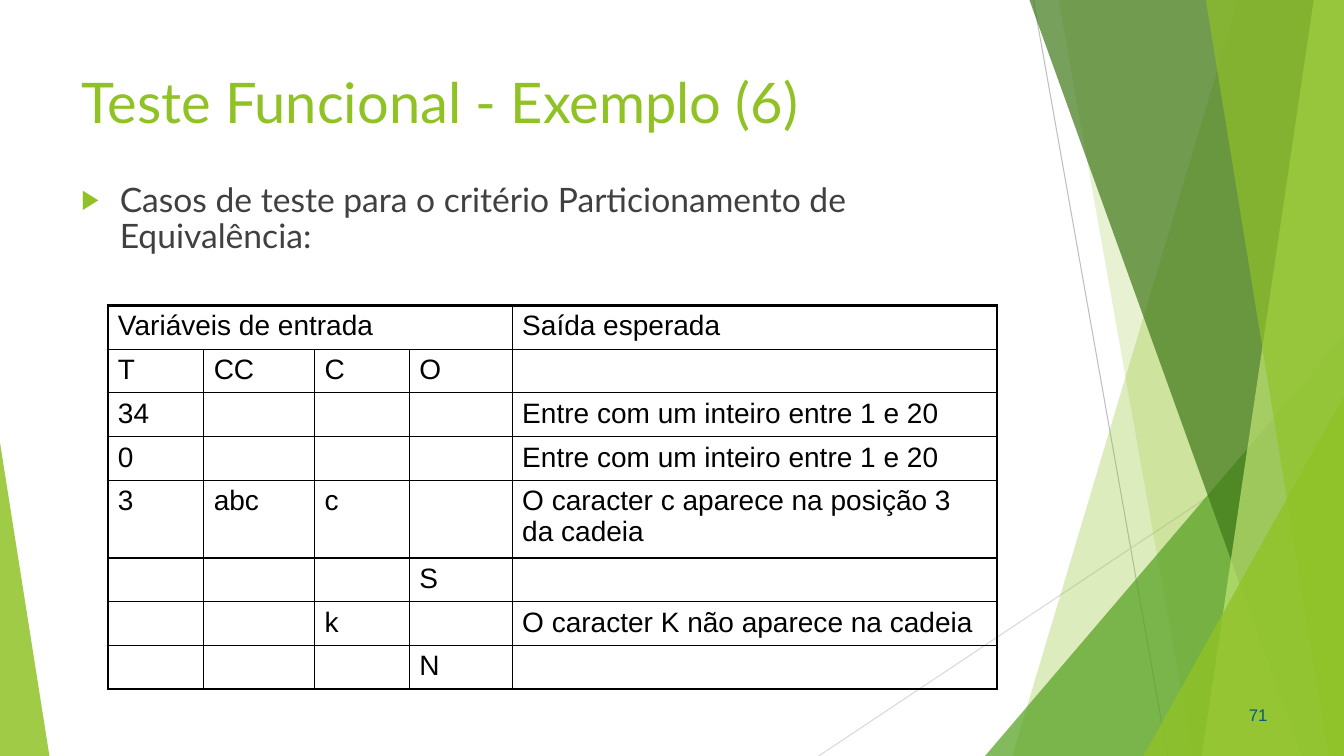
import dataclasses

import lxml.etree
import pptx
import pptx.dml.color
import pptx.enum.shapes
import pptx.enum.text
import pptx.oxml
import pptx.oxml.ns
import pptx.util

PX = 9144  # EMU per px, 100 px to the inch
WIDTH, HEIGHT = 1333, 750


@dataclasses.dataclass(frozen=True)
class Theme:
    accent: str = "90C226"
    green: str = "54A021"
    dark_green: str = "3F7819"
    pale_green: str = "C0E474"
    grey: str = "BFBFBF"
    light_grey: str = "D9D9D9"
    body: str = "404040"
    black: str = "000000"
    number: str = "045C75"
    heading_font: str = "Lato"
    table_font: str = "Arial"
    title_size: int = 40
    body_size: int = 24
    table_size: int = 20
    number_size: int = 12
    thin: float = 1
    thick: float = 2.25


theme = Theme()


def format_runs(paragraph, font_name, size, colour):
    for run in paragraph.runs:
        run.font.name = font_name
        run.font.size = pptx.util.Pt(size)
        run.font.color.rgb = pptx.dml.color.RGBColor.from_string(colour)


def add_text(left, top, width, height, text, font_name, size, colour):
    """Add a wrapping text box and return its text frame."""
    box = slide.shapes.add_textbox(left * PX, top * PX, width * PX, height * PX)
    box.text_frame.word_wrap = True
    box.text_frame.text = text
    format_runs(box.text_frame.paragraphs[0], font_name, size, colour)
    return box.text_frame


presentation = pptx.Presentation()
presentation.slide_width = WIDTH * PX
presentation.slide_height = HEIGHT * PX
slide = presentation.slides.add_slide(presentation.slide_layouts[6])

# Fine background lines
for start_x, start_y, end_x, end_y, colour in [
    (1025, 0, 1158, HEIGHT, theme.grey),
    (WIDTH, 403, 812, HEIGHT, theme.light_grey),
]:
    line = slide.shapes.add_connector(
        pptx.enum.shapes.MSO_CONNECTOR.STRAIGHT,
        start_x * PX, start_y * PX, end_x * PX, end_y * PX)
    line.line.color.rgb = pptx.dml.color.RGBColor.from_string(colour)
    line.line.width = pptx.util.Pt(0.75)
    lxml.etree.SubElement(line._element.spPr, pptx.oxml.ns.qn("a:effectLst"))

# Translucent facets. A band is (top x, bottom x) and reaches the right edge;
# a triangle is (left, top, width, apex) and stands on the bottom edge.
for kind, geometry, colour, opacity in [
    ("band", (1228, 1004), theme.accent, 30),
    ("band", (1050, 1183), theme.accent, 20),
    ("triangle", (977, 333, 356, 1), theme.green, 72),
    ("band", (1021, 1291), theme.dark_green, 70),
    ("band", (1303, 1192), theme.pale_green, 70),
    ("band", (1196, 1318), theme.accent, 65),
    ("triangle", (1134, 393, 199, 1), theme.accent, 80),
    ("triangle", (0, 439, 49, 0), theme.accent, 85),
]:
    if kind == "band":
        top_x, bottom_x = geometry
        builder = slide.shapes.build_freeform(top_x, 0, scale=PX)
        builder.add_line_segments([(WIDTH, 0), (WIDTH, HEIGHT), (bottom_x, HEIGHT)], close=True)
        facet = builder.convert_to_shape()
    else:
        left, top, width, apex = geometry
        facet = slide.shapes.add_shape(
            pptx.enum.shapes.MSO_SHAPE.ISOSCELES_TRIANGLE,
            left * PX, top * PX, width * PX, (HEIGHT - top) * PX)
        facet.adjustments[0] = apex
    facet.shadow.inherit = False
    facet.line.fill.background()
    facet.fill.solid()
    facet.fill.fore_color.rgb = pptx.dml.color.RGBColor.from_string(colour)
    colour_element = facet._element.spPr.find(".//" + pptx.oxml.ns.qn("a:srgbClr"))
    lxml.etree.SubElement(
        colour_element, pptx.oxml.ns.qn("a:alpha"), val=str(opacity * 1000))

# Title, bullet and slide number
add_text(71, 62, 1045, 125, "Teste Funcional - Exemplo (6)",
         theme.heading_font, theme.title_size, theme.accent)

bullet_frame = add_text(
    71, 177, 907, 85, "Casos de teste para o critério Particionamento de Equivalência:",
    theme.heading_font, theme.body_size, theme.body)
bullet = bullet_frame.paragraphs[0]
bullet.line_spacing = 0.9
properties = bullet._p.get_or_add_pPr()
properties.set("marL", str(38 * PX))
properties.set("indent", str(-38 * PX))
namespace = pptx.oxml.ns.nsdecls("a")
for markup in [
    f'<a:buClr {namespace}><a:srgbClr val="{theme.accent}"/></a:buClr>',
    f'<a:buSzPct {namespace} val="80000"/>',
    f'<a:buFont {namespace} typeface="{theme.table_font}"/>',
    f'<a:buChar {namespace} char="▶"/>',
]:
    properties.append(pptx.oxml.parse_xml(markup))

# Test case table
column_widths = [95, 110, 94, 102, 481]
row_heights = [43, 43, 43, 43, 77, 43, 43, 43]
test_cases = [
    ["Variáveis de entrada", "", "", "", "Saída esperada"],
    ["T", "CC", "C", "O", ""],
    ["34", "", "", "", "Entre com um inteiro entre 1 e 20"],
    ["0", "", "", "", "Entre com um inteiro entre 1 e 20"],
    ["3", "abc", "c", "", "O caracter c aparece na posição 3 da cadeia"],
    ["", "", "", "S", ""],
    ["", "", "k", "", "O caracter K não aparece na cadeia"],
    ["", "", "", "N", ""],
]
last_row, last_column = len(row_heights) - 1, len(column_widths) - 1
table = slide.shapes.add_table(
    len(row_heights), len(column_widths), 107 * PX, 303 * PX,
    sum(column_widths) * PX, sum(row_heights) * PX).table
table.first_row = False
table.horz_banding = False
for column, width in zip(table.columns, column_widths):
    column.width = width * PX
for row, height in zip(table.rows, row_heights):
    row.height = height * PX
table.cell(0, 0).merge(table.cell(0, 3))

for row_index, texts in enumerate(test_cases):
    for column_index, text in enumerate(texts):
        cell = table.cell(row_index, column_index)
        cell.margin_left = cell.margin_right = 10 * PX
        cell.margin_top = cell.margin_bottom = 5 * PX
        if text:
            cell.text_frame.text = text
            format_runs(cell.text_frame.paragraphs[0],
                        theme.table_font, theme.table_size, theme.black)
        for side, is_outer in [
            ("L", column_index == 0),
            ("R", column_index == last_column),
            ("T", row_index == 0),
            ("B", row_index == last_row),
        ]:
            border_width = pptx.util.Pt(theme.thick if is_outer else theme.thin)
            cell._tc.get_or_add_tcPr().append(pptx.oxml.parse_xml(
                f'<a:ln{side} {namespace} w="{border_width}"><a:solidFill>'
                f'<a:srgbClr val="{theme.black}"/></a:solidFill></a:ln{side}>'))
        cell.fill.background()

number_frame = add_text(956, 683, 311, 52, "71",
                        theme.table_font, theme.number_size, theme.number)
number_frame.vertical_anchor = pptx.enum.text.MSO_ANCHOR.MIDDLE
number_frame.paragraphs[0].alignment = pptx.enum.text.PP_ALIGN.RIGHT

presentation.save("out.pptx")
